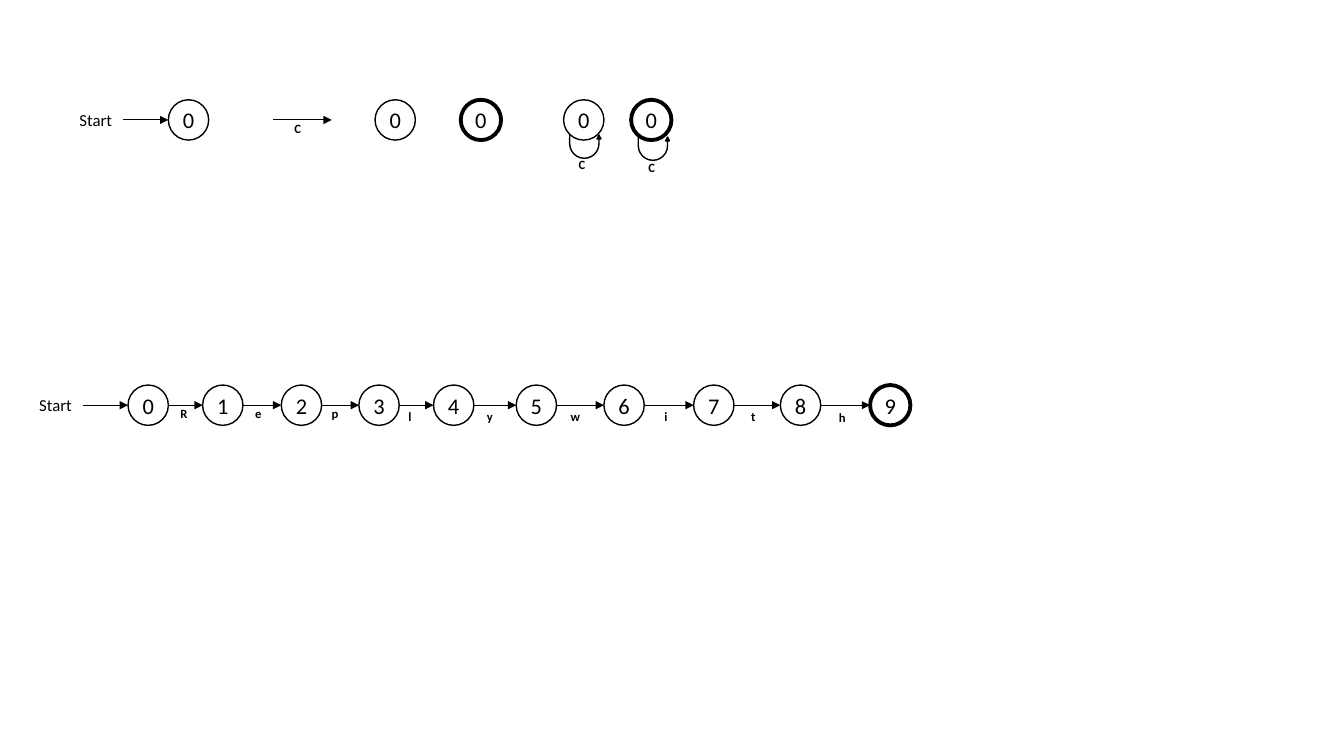
import pptx
import pptx.util
import pptx.dml.color
import pptx.enum.shapes
import pptx.enum.text
from dataclasses import dataclass
from lxml import etree

Inches, Pt = pptx.util.Inches, pptx.util.Pt
Shapes = pptx.enum.shapes.MSO_SHAPE
Align, Anchor = pptx.enum.text.PP_ALIGN, pptx.enum.text.MSO_ANCHOR


@dataclass
class Theme:
    ink = pptx.dml.color.RGBColor(0, 0, 0)
    font = "Calibri"
    state_size, start_size, symbol_size = 16, 12, 9
    arrow_line, state_line, accepting_line = 0.75, 1, 2.75


# Content: the notation key, then the automaton for one phrase
START = "Start"
KEY_SYMBOL, KEY_STATE = "C", "0"
KEY_START_LEFT = 1.67
KEY_ARROW = (2.71, 3.29, 2.86)  # from, to, symbol left
KEY_STATES = [(3.72, False), (4.57, True)]  # left, accepting
KEY_LOOPS = [  # state left, accepting, loop (left, top), symbol (left, top)
    (5.59, False, (5.65, 1.34), (5.68, 1.51)),
    (6.26, True, (6.33, 1.36), (6.37, 1.54)),
]
CHAIN_LEFTS = [1.27, 2.01, 2.79, 3.56, 4.3, 5.12, 5.99, 6.88, 7.74, 8.63]
CHAIN_SYMBOLS = [  # symbol, left, top
    ("R", 1.73, 3.98), ("e", 2.47, 3.98), ("p", 3.23, 3.98),
    ("l", 3.99, 4.01), ("y", 4.77, 4.01), ("w", 5.6, 4.01),
    ("i", 6.53, 4.01), ("t", 7.39, 4.01), ("h", 8.26, 4.02),
]

# Geometry
KEY_Y, CHAIN_Y = 1.19, 4.02  # centre line of each row
DIAMETER = 0.4
START_ARROW = 0.45
LOOP_SIZE = (0.31, 0.23)
LOOP_ADJUSTMENTS = (0, 0.085, 0.164, 0.717, 1)

deck = pptx.Presentation()
deck.slide_width, deck.slide_height = Inches(13.33), Inches(7.5)
slide = deck.slides.add_slide(deck.slide_layouts[6])


def write(frame, text, size, bold=False, align=Align.LEFT, inset=(0, 0)):
    frame.word_wrap = True
    frame.margin_left, frame.margin_top = map(Inches, inset)
    frame.margin_right = frame.margin_bottom = 0
    paragraph = frame.paragraphs[0]
    paragraph.alignment = align
    run = paragraph.add_run()
    run.text = text
    run.font.name, run.font.size, run.font.bold = Theme.font, Pt(size), bold
    run.font.color.rgb = Theme.ink


def outline(shape, width):
    shape.shadow.inherit = False
    shape.line.color.rgb = Theme.ink
    shape.line.width = Pt(width)


def add_state(name, left, y, accepting=False):
    circle = slide.shapes.add_shape(
        Shapes.OVAL, Inches(left), Inches(y - DIAMETER / 2), Inches(DIAMETER), Inches(DIAMETER))
    circle.fill.background()
    outline(circle, Theme.accepting_line if accepting else Theme.state_line)
    circle.text_frame.vertical_anchor = Anchor.MIDDLE
    write(circle.text_frame, name, Theme.state_size, align=Align.CENTER)


def add_arrow(start, end, y):
    arrow = slide.shapes.add_connector(
        pptx.enum.shapes.MSO_CONNECTOR.STRAIGHT, Inches(start), Inches(y), Inches(end), Inches(y))
    arrow.line.color.rgb = Theme.ink
    arrow.line.width = Pt(Theme.arrow_line)
    head = etree.SubElement(arrow.line._get_or_add_ln(), pptx.oxml.ns.qn("a:tailEnd"))
    head.set("type", "triangle")
    etree.SubElement(arrow._element.spPr, pptx.oxml.ns.qn("a:effectLst"))


def add_symbol(symbol, left, top):
    label = slide.shapes.add_textbox(Inches(left), Inches(top), Inches(0.16), Inches(0.25))
    write(label.text_frame, symbol, Theme.symbol_size, bold=True, inset=(0.06, 0.05))


def add_start(state_left, y):
    arrow_left = state_left - START_ARROW
    label = slide.shapes.add_textbox(
        Inches(arrow_left - 0.53), Inches(y - 0.15), Inches(0.53), Inches(0.3))
    write(label.text_frame, START, Theme.start_size, inset=(0.1, 0.05))
    add_arrow(arrow_left, state_left, y)


def add_loop(left, top):
    loop = slide.shapes.add_shape(
        Shapes.U_TURN_ARROW, Inches(left), Inches(top), *map(Inches, LOOP_SIZE))
    for index, value in enumerate(LOOP_ADJUSTMENTS):
        loop.adjustments[index] = value
    loop.rotation = 180
    loop._element.spPr.find(pptx.oxml.ns.qn("a:xfrm")).set("flipH", "1")
    loop.fill.solid()
    loop.fill.fore_color.rgb = Theme.ink
    outline(loop, Theme.state_line)


# Notation key
add_start(KEY_START_LEFT, KEY_Y)
add_state(KEY_STATE, KEY_START_LEFT, KEY_Y)
arrow_from, arrow_to, symbol_left = KEY_ARROW
add_arrow(arrow_from, arrow_to, KEY_Y)
add_symbol(KEY_SYMBOL, symbol_left, KEY_Y - 0.04)
for left, accepting in KEY_STATES:
    add_state(KEY_STATE, left, KEY_Y, accepting)
for left, accepting, loop_at, symbol_at in KEY_LOOPS:
    add_state(KEY_STATE, left, KEY_Y, accepting)
    add_loop(*loop_at)
    add_symbol(KEY_SYMBOL, *symbol_at)

# Automaton: the last state accepts
add_start(CHAIN_LEFTS[0], CHAIN_Y)
for number, left in enumerate(CHAIN_LEFTS):
    add_state(str(number), left, CHAIN_Y, accepting=left == CHAIN_LEFTS[-1])
for left, next_left, transition in zip(CHAIN_LEFTS, CHAIN_LEFTS[1:], CHAIN_SYMBOLS):
    add_arrow(left + DIAMETER, next_left, CHAIN_Y)
    add_symbol(*transition)

deck.save("out.pptx")
